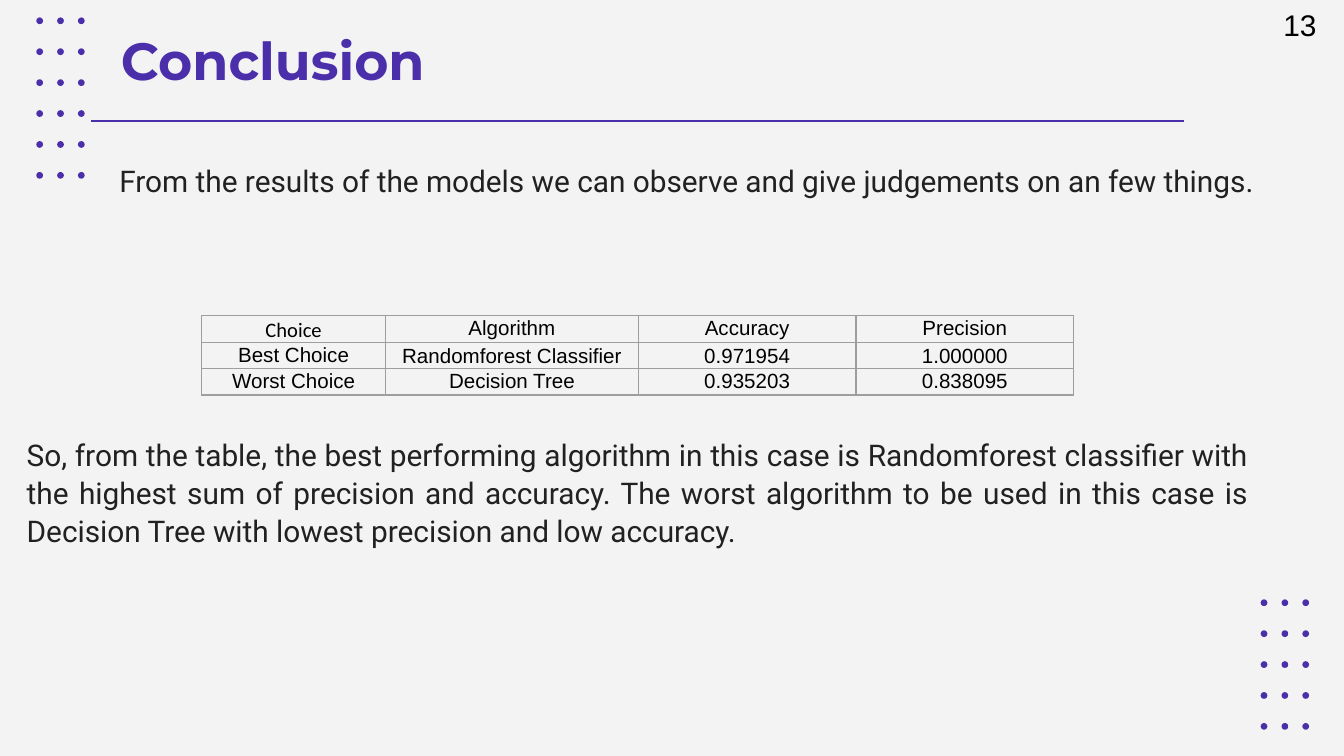
"""Build the conclusion slide comparing the best and worst algorithms."""
from lxml import etree
from pptx import Presentation
from pptx.dml.color import RGBColor
from pptx.enum.shapes import MSO_CONNECTOR, MSO_SHAPE
from pptx.enum.text import MSO_ANCHOR, PP_ALIGN
from pptx.oxml import parse_xml
from pptx.oxml.ns import qn
from pptx.util import Inches, Pt

STRAIGHT = MSO_CONNECTOR.STRAIGHT
OVAL = MSO_SHAPE.OVAL
TOP, MIDDLE = MSO_ANCHOR.TOP, MSO_ANCHOR.MIDDLE
LEFT, CENTER, JUSTIFY = PP_ALIGN.LEFT, PP_ALIGN.CENTER, PP_ALIGN.JUSTIFY
DRAWING_NS = "http://schemas.openxmlformats.org/drawingml/2006/main"
COLORS = {
    "background": "F3F3F3",
    "accent": "4B2EAA",
    "body": "212121",
    "black": "000000",
    "border": "9E9E9E",
}


def color(name):
    return RGBColor.from_string(COLORS[name])


def write(frame, text, font, size, color_name, align=LEFT, bold=False):
    frame.word_wrap = True
    paragraph = frame.paragraphs[0]
    paragraph.alignment = align
    run = paragraph.add_run()
    run.text = text
    run.font.name = font
    run.font.size = Pt(size)
    run.font.bold = bold
    run.font.color.rgb = color(color_name)
    return paragraph


prs = Presentation()
prs.slide_width = Inches(10)
prs.slide_height = Inches(10 * 9 / 16)
slide = prs.slides.add_slide(prs.slide_layouts[5])
slide.background.fill.solid()
slide.background.fill.fore_color.rgb = color("background")
shapes = slide.shapes

for grid_left, grid_top, row_count in [(0.27, 0.13, 6), (9.38, 4.46, 5)]:
    for row in range(row_count):
        for col in range(3):
            dot = shapes.add_shape(
                OVAL,
                Inches(grid_left + col * 0.31 / 2),
                Inches(grid_top + row * 0.23),
                Inches(0.05),
                Inches(0.05),
            )
            dot.shadow.inherit = False
            dot.fill.solid()
            dot.fill.fore_color.rgb = color("accent")
            dot.line.fill.background()

page_number = shapes.add_textbox(Inches(9.45), Inches(0), Inches(0.45), Inches(0.37))
write(page_number.text_frame, "13", "Arial", 16, "black")

title_rule = shapes.add_connector(
    STRAIGHT, Inches(0.68), Inches(0.9), Inches(8.81), Inches(0.9)
)
title_rule.line.color.rgb = color("accent")
title_rule.line.width = Pt(0.75)
etree.SubElement(title_rule._element.spPr, qn("a:effectLst"))

title = shapes.title
title.left, title.top = Inches(0.8), Inches(0.11)
title.width, title.height = Inches(8.05), Inches(0.99)
heading = title.text_frame
heading.vertical_anchor = TOP
heading.margin_left = heading.margin_right = Inches(0.1)
heading.margin_top = heading.margin_bottom = Inches(0.1)
write(heading, "Conclusion", "Montserrat", 28, "accent", bold=True)

intro = shapes.add_textbox(Inches(0.12), Inches(1.16), Inches(9.76), Inches(0.67))
intro_paragraph = write(
    intro.text_frame,
    "From the results of the models we can observe and give judgements on an few things.",
    "Roboto", 16, "body", JUSTIFY,
)
intro_paragraph._p.get_or_add_pPr().set("marL", str(Inches(0.67)))

findings = shapes.add_textbox(Inches(0.1), Inches(3.18), Inches(9.29), Inches(1.34))
findings_paragraph = write(
    findings.text_frame,
    "So, from the table, the best performing algorithm in this case is Randomforest "
    "classifier with the highest sum of precision and accuracy. The worst algorithm to "
    "be used in this case is Decision Tree with lowest precision and low accuracy.",
    "Roboto", 16, "body", JUSTIFY,
)
findings_paragraph.line_spacing = 1.07
findings_paragraph.space_after = Pt(8)

results = [
    ["Choice", "Algorithm", "Accuracy", "Precision"],
    ["Best Choice", "Randomforest Classifier", "0.971954", "1.000000"],
    ["Worst Choice", "Decision Tree", "0.935203", "0.838095"],
]
comparison = shapes.add_table(
    3, 4, Inches(1.5), Inches(2.35), Inches(6.49), Inches(0.57)
).table
for column, width in zip(comparison.columns, [1.37, 1.88, 1.62, 1.62]):
    column.width = Inches(width)
for row, values in enumerate(results):
    comparison.rows[row].height = Inches(0.19)
    for col, value in enumerate(values):
        cell = comparison.cell(row, col)
        cell.margin_left = cell.margin_right = Inches(0.07)
        cell.margin_top = cell.margin_bottom = 0
        cell.vertical_anchor = MIDDLE if row == 1 and col > 0 else TOP
        cell.fill.background()
        font = "Calibri" if value == "Choice" else "Arial"
        entry = write(cell.text_frame, value, font, 11, "black", CENTER)
        entry.line_spacing = 1.07
        for position, side in enumerate(["lnL", "lnR", "lnT", "lnB"]):
            border = parse_xml(
                f'<a:{side} xmlns:a="{DRAWING_NS}" w="{Pt(0.75)}"><a:solidFill>'
                f'<a:srgbClr val="{COLORS["border"]}"/></a:solidFill></a:{side}>'
            )
            cell._tc.get_or_add_tcPr().insert(position, border)

prs.save("out.pptx")
